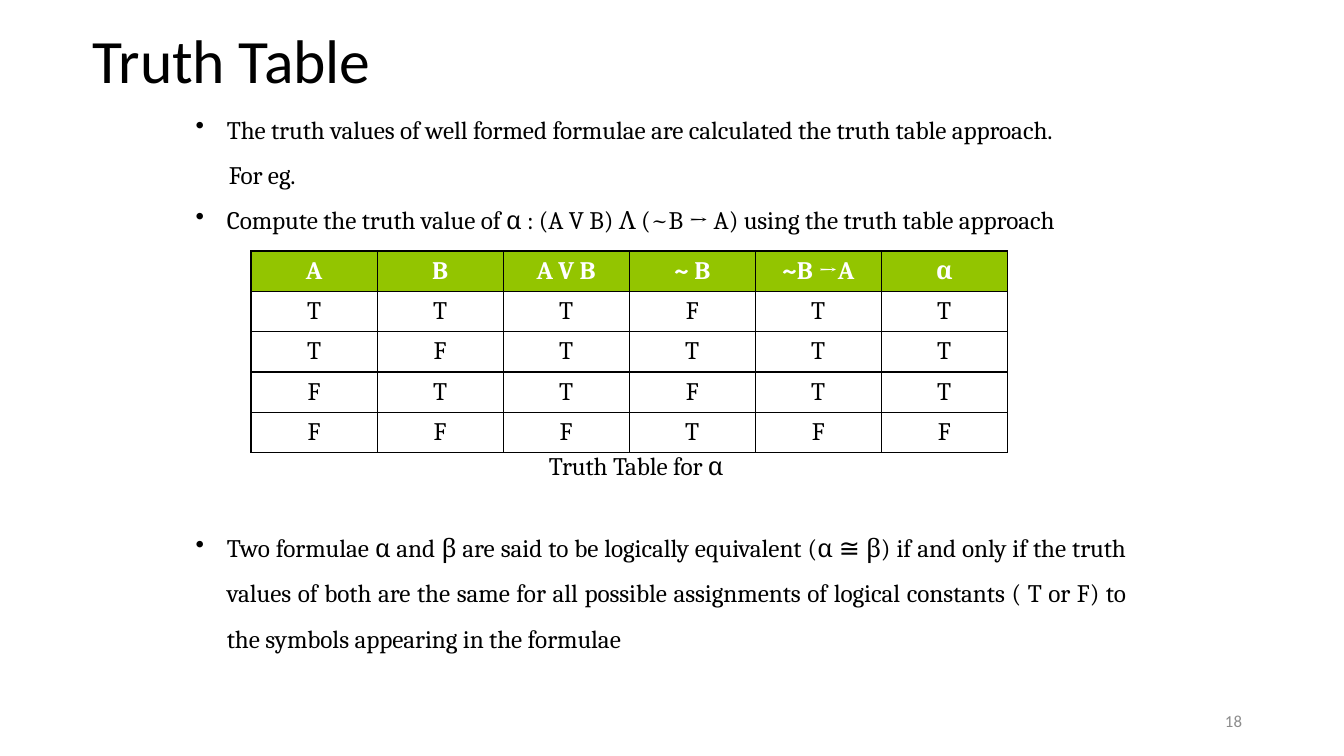
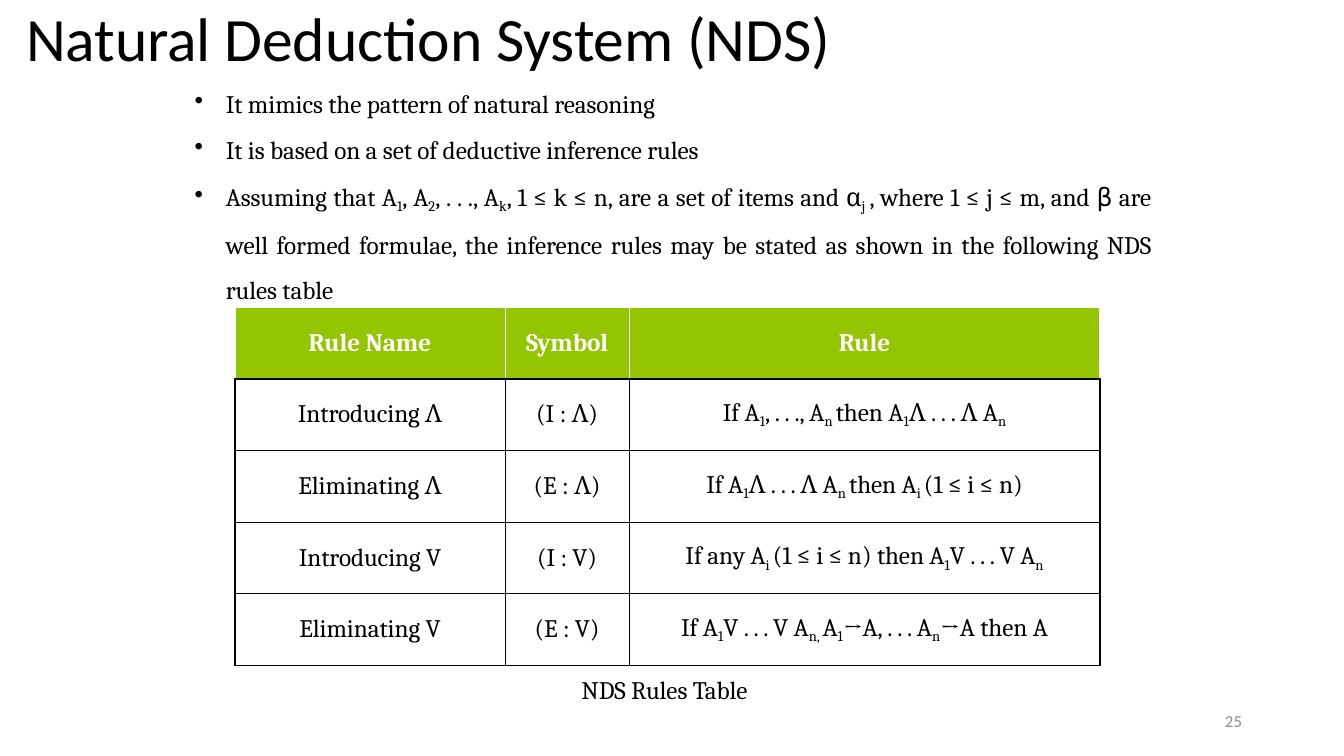
"""Build two logic slides: a truth table and the natural deduction rules."""
import pptx
import pptx.dml.color
import pptx.enum.text
import pptx.oxml
import pptx.oxml.ns
import pptx.util

Inches = pptx.util.Inches
Pt = pptx.util.Pt
ALIGN = pptx.enum.text.PP_ALIGN
MIDDLE = pptx.enum.text.MSO_ANCHOR.MIDDLE
NS = pptx.oxml.ns.nsdecls("a")

COLORS = {"ink": "000000", "head": "93C500", "white": "FFFFFF", "page": "8C8C8C"}


def color(name):
    return pptx.dml.color.RGBColor.from_string(COLORS[name])


def write(para, text, size=18, font="Cambria", ink="ink", bold=False,
          align=ALIGN.LEFT, before=0, line=None, left=0, bullet=False, track=-6):
    props = para._p.get_or_add_pPr()
    if left:
        props.set("marL", str(Inches(left)))
        props.set("indent", str(Inches(-0.31 if bullet else 0)))
    if bullet:
        props.append(pptx.oxml.parse_xml(f'<a:buChar {NS} char="•"/>'))
    para.alignment = align
    para.space_before = Pt(before)
    if line:
        para.line_spacing = line
    for i, part in enumerate(text.replace("}", "{").split("{")):
        if not part:
            continue
        run = para.add_run()
        run.text = part
        run.font.size = Pt(size)
        run.font.name = font
        run.font.bold = bold
        run.font.color.rgb = color(ink)
        mark = run._r.get_or_add_rPr()
        mark.set("spc", str(track))
        if i % 2:
            mark.set("baseline", "-21000")


def border(cell, **sides):
    props = cell._tc.get_or_add_tcPr()
    for side in "LRTB":
        shade = COLORS[sides.get(side, "ink")]
        props.append(pptx.oxml.parse_xml(
            f'<a:ln{side} {NS} w="12700"><a:solidFill><a:srgbClr val="{shade}"/>'
            f'</a:solidFill></a:ln{side}>'))


class Deck:
    """Hold the shared style and the current slide."""

    def __init__(self):
        self.prs = pptx.Presentation()
        self.prs.slide_width = Inches(13.33)
        self.prs.slide_height = Inches(7.5)
        self.slide = None

    def start(self, title, page, left, top, width):
        self.slide = self.prs.slides.add_slide(self.prs.slide_layouts[5])
        head = self.slide.shapes.title
        head.left, head.top = Inches(left), Inches(top)
        head.width, head.height = Inches(width), Inches(0.68)
        frame = self.frame(head, MIDDLE)
        write(frame.paragraphs[0], title, size=44, font="Calibri", line=0.9, track=-10)
        foot = self.slide.shapes.add_textbox(
            Inches(9.42), Inches(6.95), Inches(2.9), Inches(0.4))
        write(self.frame(foot, MIDDLE).paragraphs[0], page, size=12,
              font="Calibri", ink="page", align=ALIGN.RIGHT, track=10)

    def frame(self, shape, anchor=None):
        frame = shape.text_frame
        frame.word_wrap = True
        frame.auto_size = pptx.enum.text.MSO_AUTO_SIZE.NONE
        frame.margin_left = frame.margin_right = 0
        frame.margin_top = frame.margin_bottom = 0
        if anchor is not None:
            frame.vertical_anchor = anchor
        return frame

    def text(self, left, top, width, height, *items):
        box = self.slide.shapes.add_textbox(
            Inches(left), Inches(top), Inches(width), Inches(height))
        frame = self.frame(box)
        for i, (text, form) in enumerate(items):
            para = frame.add_paragraph() if i else frame.paragraphs[0]
            write(para, text, **form)

    def label(self, text, left, top):
        self.text(left, top, 1.8, 0.33, (text, {"align": ALIGN.CENTER}))

    def table(self, left, top, widths, height, rows, edge):
        grid = self.slide.shapes.add_table(
            len(rows), len(widths), Inches(left), Inches(top),
            Inches(sum(widths)), Inches(height * len(rows))).table
        grid.first_row = grid.horz_banding = False
        for col, width in zip(grid.columns, widths):
            col.width = Inches(width)
        for r, row in enumerate(rows):
            grid.rows[r].height = Inches(height)
            for c, text in enumerate(row):
                cell = grid.cell(r, c)
                cell.margin_left = cell.margin_right = 0
                cell.margin_top = cell.margin_bottom = 0
                cell.vertical_anchor = MIDDLE
                if r:
                    border(cell)
                    cell.fill.background()
                else:
                    border(cell, L=edge, R=edge, T=edge)
                    cell.fill.solid()
                    cell.fill.fore_color.rgb = color("head")
                write(cell.text_frame.paragraphs[0], text, bold=not r,
                      ink="ink" if r else "white", align=ALIGN.CENTER)


def truth(deck):
    deck.start("Truth Table", "18", 0.92, 0.29, 3.91)
    point = {"left": 0.33, "bullet": True}
    deck.text(
        1.92, 1.13, 8.96, 1.3,
        ("The truth values of well formed formulae are calculated the truth "
         "table approach.", point),
        ("For eg.", {"left": 0.35, "before": 10.8}),
        ("Compute the truth value of α : (A V B) Ʌ (~B → A) using the truth "
         "table approach", {**point, "before": 10.8}))
    rows = [("A", "B", "A V B", "~ B", "~B →A", "α"),
            "TTTFTT", "TFTTTT", "FTTFTT", "FFFTFF"]
    deck.table(2.49, 2.49, [1.25] * 6, 0.4, rows, "ink")
    deck.label("Truth Table for α", 5.41, 4.47)
    deck.text(
        1.92, 5.13, 9.25, 1.3,
        ("Two formulae α and β are said to be logically equivalent (α ≅ β) if "
         "and only if the truth values of both are the same for all possible "
         "assignments of logical constants ( T or F) to the symbols appearing "
         "in the formulae", {**point, "line": 1.5, "align": ALIGN.JUSTIFY}))


def rules(deck):
    deck.start("Natural Deduction System (NDS)", "25", 0.26, 0.07, 9.08)
    point = {"left": 0.35, "bullet": True, "align": ALIGN.JUSTIFY}
    deck.text(
        1.89, 0.88, 9.53, 2.1,
        ("It mimics the pattern of natural reasoning", point),
        ("It is based on a set of deductive inference rules",
         {**point, "before": 10.8}),
        ("Assuming that A{1}, A{2}, . . ., A{k}, 1 ≤ k ≤ n, are a set of items "
         "and α{j }, where 1 ≤ j ≤ m, and β are well formed formulae, the "
         "inference rules may be stated as shown in the following NDS "
         "rules table", {**point, "line": 1.5}))
    rows = [
        ("Rule Name", "Symbol", "Rule"),
        ("Introducing Ʌ", "(I : Ʌ)", "If A{1}, . . ., A{n }then A{1}Ʌ . . . Ʌ A{n}"),
        ("Eliminating Ʌ", "(E : Ʌ)", "If A{1}Ʌ . . . Ʌ A{n }then A{i }(1 ≤ i ≤ n)"),
        ("Introducing V", "(I : V)", "If any A{i }(1 ≤ i ≤ n) then A{1}V . . . V A{n}"),
        ("Eliminating V", "(E : V)",
         "If A{1}V . . . V A{n, }A{1}→A, . . . A{n}→A then A")]
    deck.table(2.33, 3.05, [2.68, 1.23, 4.67], 0.71, rows, "white")
    deck.label("NDS Rules Table", 5.69, 6.69)


def main():
    deck = Deck()
    truth(deck)
    rules(deck)
    deck.prs.save("out.pptx")


if __name__ == "__main__":
    main()
